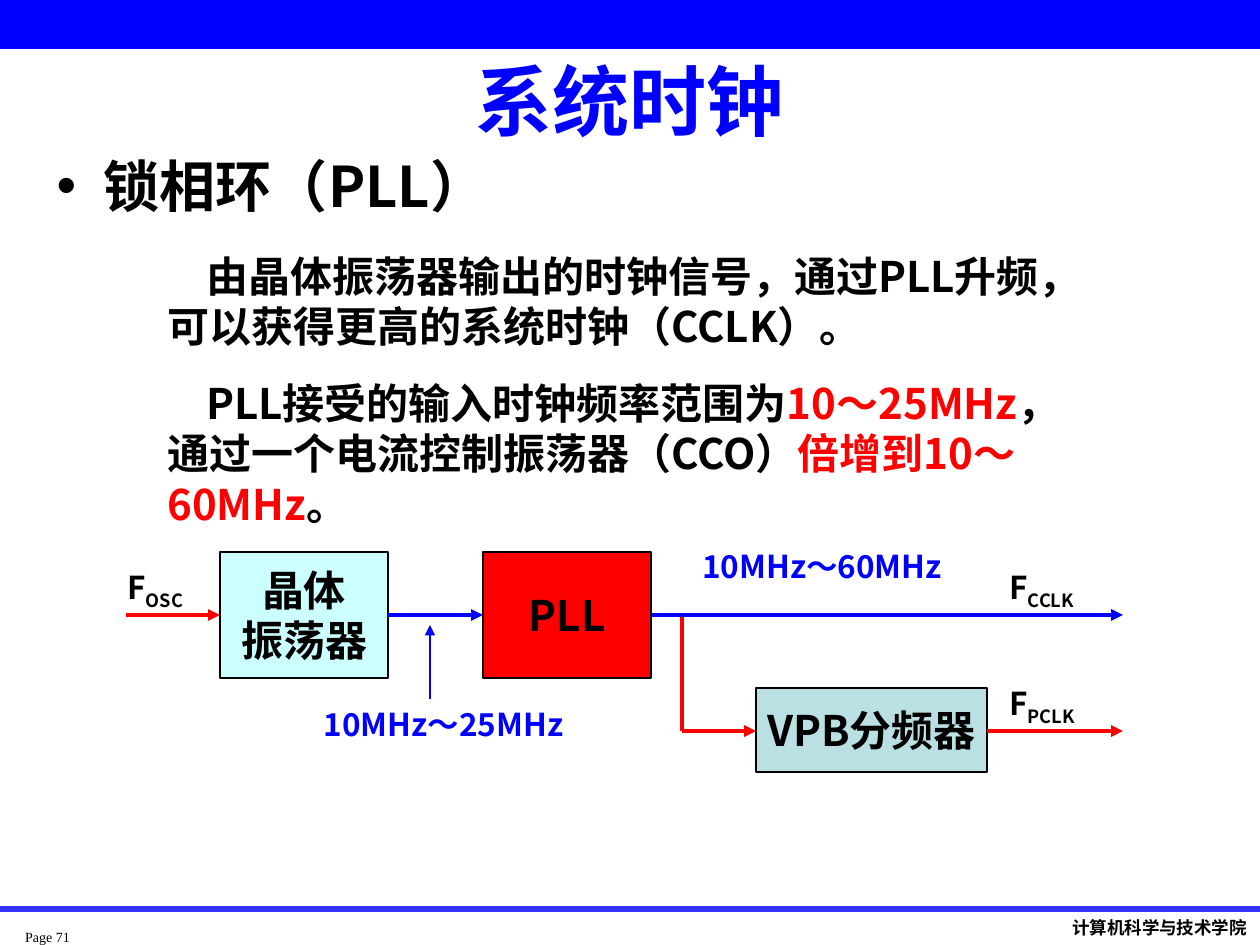
"""Build the system clock slide with its phase-locked loop diagram."""
from dataclasses import dataclass
from typing import Optional

from lxml.etree import SubElement
from pptx import Presentation
from pptx.dml.color import RGBColor
from pptx.enum.lang import MSO_LANGUAGE_ID as Language
from pptx.enum.shapes import MSO_CONNECTOR as Connector, MSO_SHAPE as Shape
from pptx.enum.text import MSO_ANCHOR as Anchor, MSO_AUTO_SIZE as AutoSize, PP_ALIGN as Align
from pptx.oxml.ns import qn
from pptx.util import Pt

EMU_PER_PX = 914400 / 126
BLACK = RGBColor(0x00, 0x00, 0x00)
BLUE = RGBColor(0x00, 0x00, 0xFF)
RULE_BLUE = RGBColor(0x33, 0x33, 0xFF)
RED = RGBColor(0xFF, 0x00, 0x00)
PALE_CYAN = RGBColor(0xCC, 0xFF, 0xFF)
PALE_TEAL = RGBColor(0xBB, 0xE0, 0xE3)
CJK_FONT = "Noto Sans CJK SC"
MAIN_Y, BRANCH_Y, BRANCH_X = 615, 731, 682
OUTPUT_X = 1123


@dataclass
class Span:
    text: str
    color: Optional[RGBColor] = None
    subscript: bool = False


def px(*lengths):
    return [round(length * EMU_PER_PX) for length in lengths]


def write(frame, *paras, size, color=BLACK, font=CJK_FONT, bold=True, align=Align.LEFT,
          anchor=Anchor.TOP, wrap=True, gap=0, indent=0, inset=None):
    frame.auto_size = AutoSize.NONE
    frame.word_wrap = wrap
    frame.vertical_anchor = anchor
    if inset is not None:
        frame.margin_left = frame.margin_right = inset
        frame.margin_top = frame.margin_bottom = inset
    for index, spans in enumerate(paras):
        para = frame.add_paragraph() if index else frame.paragraphs[0]
        para.alignment = align
        para.space_before = Pt(gap if index else 0)
        if indent:
            para._p.get_or_add_pPr().set("indent", str(px(indent)[0]))
        for span in [Span(spans)] if isinstance(spans, str) else spans:
            run = para.add_run()
            run.text = span.text
            run.font.size = Pt(size)
            run.font.bold = bold
            run.font.name = font
            run.font.language_id = Language.SIMPLIFIED_CHINESE
            run.font.color.rgb = span.color or color
            properties = run._r.get_or_add_rPr()
            SubElement(properties, qn("a:ea"), typeface=CJK_FONT)
            if span.subscript:
                properties.set("baseline", "-25000")


def add_text(page, area, *paras, **text_format):
    box = page.shapes.add_textbox(*px(*area))
    write(box.text_frame, *paras, **text_format)


def fill_placeholder(placeholder, area, text, **text_format):
    placeholder.left, placeholder.top, placeholder.width, placeholder.height = px(*area)
    write(placeholder.text_frame, text, **text_format)


def add_block(page, area, fill, *lines, border=0.75):
    block = page.shapes.add_shape(Shape.RECTANGLE, *px(*area))
    block.shadow.inherit = False
    block.fill.solid()
    block.fill.fore_color.rgb = fill
    if lines:
        block.line.color.rgb = BLACK
        block.line.width = Pt(border)
        write(block.text_frame, *lines, size=24, align=Align.CENTER,
              anchor=Anchor.MIDDLE, wrap=False)
    else:
        block.line.fill.background()


def add_line(page, start, end, color, width=2.25, arrow=True):
    line = page.shapes.add_connector(Connector.STRAIGHT, *px(*start, *end))
    line.line.color.rgb = color
    line.line.width = Pt(width)
    if arrow:
        SubElement(line.line._get_or_add_ln(), qn("a:tailEnd"), type="triangle")
    SubElement(line._element.spPr, qn("a:effectLst"))


def add_frame(page):
    add_block(page, (0, 0, 1260, 49), BLUE)
    add_line(page, (0, 909), (1260, 909), RULE_BLUE, width=3, arrow=False)
    add_text(page, (25, 929, 79, 16), "Page 71", size=8, font="Times New Roman",
             bold=False, inset=0)
    add_text(page, (1060, 911, 200, 34), "计算机科学与技术学院", size=10, font="Karla",
             wrap=False)


def add_explanation(page):
    add_text(
        page, (155, 244, 955, 291),
        "由晶体振荡器输出的时钟信号，通过PLL升频，可以获得更高的系统时钟（CCLK）。",
        [Span("PLL接受的输入时钟频率范围为"), Span("10～25MHz", RED),
         Span("，通过一个电流控制振荡器（CCO）"), Span("倍增到10～60MHz", RED), Span("。")],
        size=24, gap=15, indent=39)


def add_diagram(page):
    add_block(page, (220, 552, 168, 126), PALE_CYAN, "晶体", "振荡器")
    add_block(page, (756, 688, 231, 84), PALE_TEAL, "VPB分频器")
    add_line(page, (BRANCH_X, MAIN_Y), (BRANCH_X, BRANCH_Y), RED, arrow=False)
    for left, right, y, color in (
        (126, 220, MAIN_Y, RED),
        (BRANCH_X, 756, BRANCH_Y, RED),
        (987, OUTPUT_X, BRANCH_Y, RED),
        (388, 483, MAIN_Y, BLUE),
        (651, OUTPUT_X, MAIN_Y, BLUE),
    ):
        add_line(page, (left, y), (right, y), color)
    add_line(page, (430, 699), (430, 625), BLUE, width=1.5)
    add_block(page, (483, 552, 168, 126), RED, "PLL", border=1.5)
    for name, left, y in (("OSC", 115, MAIN_Y), ("CCLK", 997, MAIN_Y), ("PCLK", 997, BRANCH_Y)):
        add_text(page, (left, y - 53, 126, 55), [Span("F"), Span(name, subscript=True)], size=18)
    for text, area in (("10MHz～25MHz", (291, 699, 305, 50)), ("10MHz～60MHz", (679, 541, 286, 50))):
        add_text(page, area, text, size=18, color=BLUE, align=Align.CENTER)


def main():
    deck = Presentation()
    deck.slide_width, deck.slide_height = px(1260, 945)
    page = deck.slides.add_slide(deck.slide_layouts[1])
    title, body = page.placeholders
    fill_placeholder(title, (63, 55, 1134, 90), "系统时钟", size=44, color=BLUE,
                     font="Arial", align=Align.CENTER, anchor=Anchor.MIDDLE)
    fill_placeholder(body, (44, 145, 1143, 99), "锁相环（PLL）", size=32)
    add_frame(page)
    add_explanation(page)
    add_diagram(page)
    deck.save("out.pptx")


if __name__ == "__main__":
    main()
